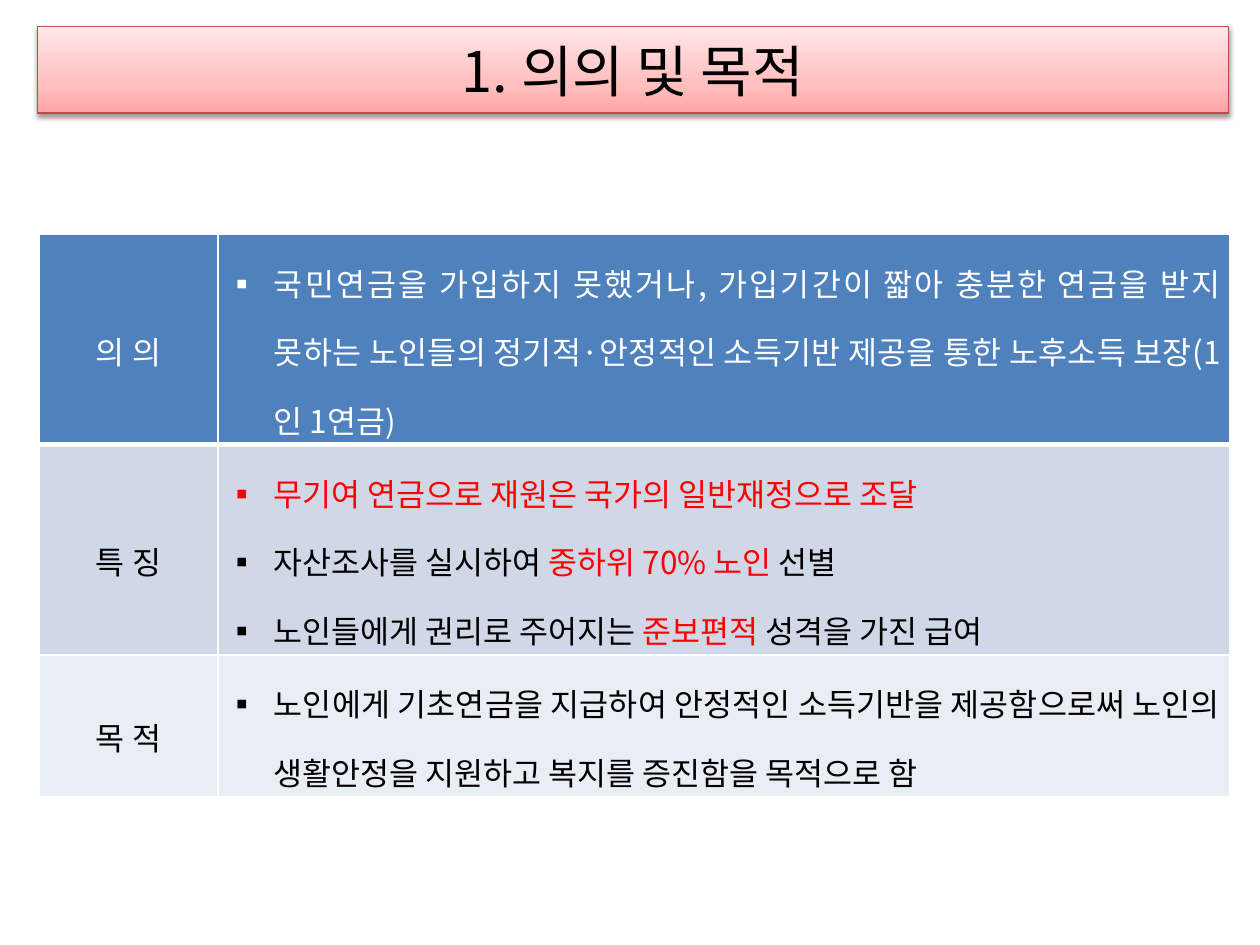
from lxml.etree import SubElement
from pptx import Presentation
from pptx.dml.color import RGBColor
from pptx.enum.text import MSO_ANCHOR, PP_ALIGN
from pptx.oxml import parse_xml
from pptx.oxml.ns import nsdecls, qn
from pptx.util import Cm, Pt

TITLE = "1. 의의 및 목적"
# Each row: label, then bullets; each bullet is a list of (text, color name) runs.
ROWS = [
    ("의 의", "white", "header", [
        [("국민연금을 가입하지 못했거나, 가입기간이 짧아 충분한 연금을 받지 못하는 "
          "노인들의 정기적·안정적인 소득기반 제공을 통한 노후소득 보장(1인 1연금)", "white")],
    ]),
    ("특 징", "black", "band_dark", [
        [("무기여 연금으로 재원은 국가의 일반재정으로 조달", "red")],
        [("자산조사를 실시하여 ", "black"), ("중하위 70% 노인 ", "red"), ("선별", "black")],
        [("노인들에게 권리로 주어지는 ", "black"), ("준보편적", "red"),
         (" 성격을 가진 급여", "black")],
    ]),
    ("목 적", "black", "band_light", [
        [("노인에게 기초연금을 지급하여 안정적인 소득기반을 제공함으로써 "
          "노인의 생활안정을 지원하고 복지를 증진함을 목적으로 함", "black")],
    ]),
]
COLUMN_WIDTHS = [Cm(3.6), Cm(20.4)]
ROW_HEIGHTS = [Cm(3.91), Cm(4.09), Cm(2.59)]

THEME = {
    "font": "Noto Sans CJK KR",
    "title_size": 32,
    "body_size": 18,
    "black": "000000",
    "white": "FFFFFF",
    "red": "FF0000",
    "header": "4F81BD",
    "band_dark": "D0D8E8",
    "band_light": "E9EDF4",
    "title_line": "BF4C48",
    "title_stops": [(0, "FFA6A5"), (35, "FFC0BF"), (100, "FFE7E7")],
}


def color(name):
    return RGBColor.from_string(THEME[name])


def add_text(paragraph, text, *, size, fill):
    run = paragraph.add_run()
    run.text = text
    font = run.font
    font.name = THEME["font"]
    font.size = Pt(size)
    font.bold = False
    font.color.rgb = color(fill)
    SubElement(font._element, qn("a:ea"), typeface=THEME["font"])


def add_bullet(paragraph):
    properties = paragraph._p.get_or_add_pPr()
    indent = Cm(0.95)
    properties.set("marL", str(indent))
    properties.set("indent", str(-indent))
    SubElement(properties, qn("a:buFont"), typeface=THEME["font"])
    SubElement(properties, qn("a:buChar"), char="▪")


def style_title(shape):
    shape.left, shape.top, shape.width, shape.height = Cm(0.76), Cm(0.53), Cm(24), Cm(1.75)
    stops = "".join(
        f'<a:gs pos="{position * 1000}"><a:srgbClr val="{value}"/></a:gs>'
        for position, value in THEME["title_stops"])
    properties = shape._element.spPr
    properties.append(parse_xml(
        f'<a:gradFill {nsdecls("a")} rotWithShape="1"><a:gsLst>{stops}</a:gsLst>'
        '<a:lin ang="16200000" scaled="0"/></a:gradFill>'))
    shape.line.color.rgb = color("title_line")
    shape.line.width = Pt(0.75)
    properties.append(parse_xml(
        f'<a:effectLst {nsdecls("a")}><a:outerShdw blurRad="{Pt(3.1)}" dist="{Pt(1.6)}" '
        'dir="5400000" rotWithShape="0"><a:srgbClr val="000000"><a:alpha val="38000"/>'
        '</a:srgbClr></a:outerShdw></a:effectLst>'))
    frame = shape.text_frame
    frame.vertical_anchor = MSO_ANCHOR.MIDDLE
    paragraph = frame.paragraphs[0]
    paragraph.alignment = PP_ALIGN.CENTER
    add_text(paragraph, TITLE, size=THEME["title_size"], fill="black")


def style_cell(cell, fill, top, bottom):
    """Set margins, fill and white borders; top and bottom are border points."""
    cell.vertical_anchor = MSO_ANCHOR.MIDDLE
    cell.margin_left = cell.margin_right = Cm(0.18)
    cell.margin_top = cell.margin_bottom = Cm(0.05)
    cell.fill.solid()
    cell.fill.fore_color.rgb = color(fill)
    properties = cell._tc.get_or_add_tcPr()
    widths = {"lnL": 1, "lnR": 1, "lnT": top, "lnB": bottom}
    for position, (side, width) in enumerate(widths.items()):
        properties.insert(position, parse_xml(
            f'<a:{side} {nsdecls("a")} w="{Pt(width)}"><a:solidFill>'
            f'<a:srgbClr val="{THEME["white"]}"/></a:solidFill></a:{side}>'))


def write_cell(cell, paragraphs, alignment, bulleted):
    frame = cell.text_frame
    for index, runs in enumerate(paragraphs):
        paragraph = frame.add_paragraph() if index else frame.paragraphs[0]
        paragraph.alignment = alignment
        paragraph.line_spacing = 1.5
        if bulleted:
            add_bullet(paragraph)
        for text, fill in runs:
            add_text(paragraph, text, size=THEME["body_size"], fill=fill)


def add_summary_table(slide):
    table = slide.shapes.add_table(
        len(ROWS), len(COLUMN_WIDTHS), Cm(0.79), Cm(4.73),
        sum(COLUMN_WIDTHS), sum(ROW_HEIGHTS)).table
    for column, width in zip(table.columns, COLUMN_WIDTHS):
        column.width = width
    for index, (label, label_color, fill, bullets) in enumerate(ROWS):
        table.rows[index].height = ROW_HEIGHTS[index]
        label_cell, detail_cell = table.rows[index].cells
        for cell in (label_cell, detail_cell):
            style_cell(cell, fill, top=3 if index == 1 else 1, bottom=3 if index == 0 else 1)
        write_cell(label_cell, [[(label, label_color)]], PP_ALIGN.CENTER, bulleted=False)
        write_cell(detail_cell, bullets, PP_ALIGN.JUSTIFY, bulleted=True)


def main():
    presentation = Presentation()
    presentation.slide_width, presentation.slide_height = Cm(25.4), Cm(19.05)
    slide = presentation.slides.add_slide(presentation.slide_layouts[5])
    style_title(slide.shapes.title)
    add_summary_table(slide)
    presentation.save("out.pptx")


if __name__ == "__main__":
    main()
